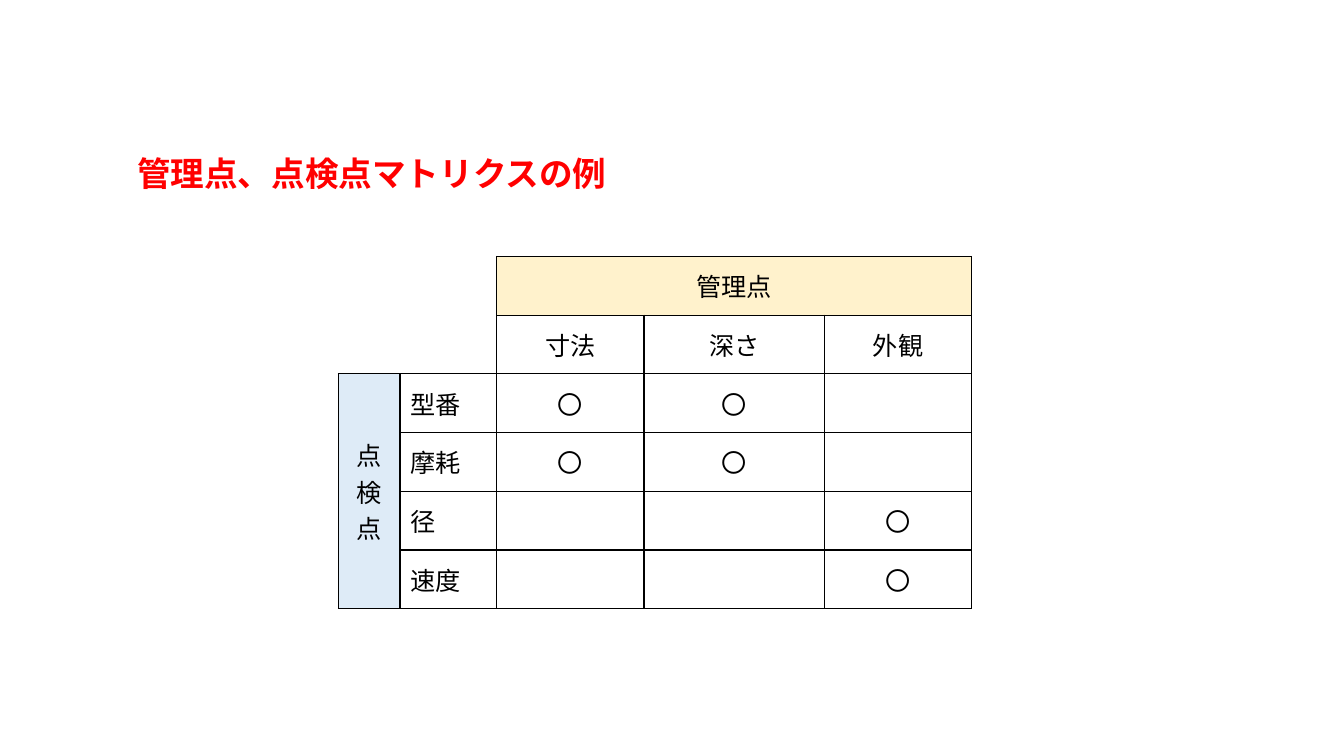
from dataclasses import dataclass

from lxml import etree
from pptx import Presentation
from pptx.dml.color import RGBColor
from pptx.enum.text import MSO_ANCHOR, MSO_AUTO_SIZE, PP_ALIGN
from pptx.oxml.ns import qn
from pptx.util import Cm, Pt

LEFT, CENTER = PP_ALIGN.LEFT, PP_ALIGN.CENTER
MIDDLE = MSO_ANCHOR.MIDDLE
GROW = MSO_AUTO_SIZE.SHAPE_TO_FIT_TEXT
TITLE_ONLY = 5

BLACK = RGBColor(0x00, 0x00, 0x00)
RED = RGBColor(0xFF, 0x00, 0x00)
CREAM = RGBColor(0xFF, 0xF2, 0xCC)
PALE_BLUE = RGBColor(0xDE, 0xEB, 0xF7)
FONT = "Noto Sans CJK JP"

COLUMN_WIDTHS = (1.55, 2.44, 3.71, 4.55, 3.71)
ROW_HEIGHT = 1.48
HEADER_ROWS, LABEL_COLUMNS = 2, 2
CONTROL_POINTS = ("寸法", "深さ", "外観")
MARK = "〇"


@dataclass(frozen=True)
class CheckPoint:
    label: str
    controls: tuple[str, ...]


@dataclass(frozen=True)
class GroupHeader:
    text: str
    first: tuple[int, int]
    last: tuple[int, int]
    color: RGBColor


CHECK_POINTS = (
    CheckPoint("型番", ("寸法", "深さ")),
    CheckPoint("摩耗", ("寸法", "深さ")),
    CheckPoint("径", ("外観",)),
    CheckPoint("速度", ("外観",)),
)
ROWS, COLUMNS = HEADER_ROWS + len(CHECK_POINTS), len(COLUMN_WIDTHS)
GROUP_HEADERS = (
    GroupHeader("管理点", (0, LABEL_COLUMNS), (0, COLUMNS - 1), CREAM),
    GroupHeader("点\n検\n点", (HEADER_ROWS, 0), (ROWS - 1, 0), PALE_BLUE),
)


def style_paragraph(paragraph, size: int, color: RGBColor, align, bold: bool = False) -> None:
    paragraph.alignment = align
    font = paragraph.font
    font.size, font.bold, font.name = Pt(size), bold, FONT
    font.color.rgb = color
    latin = paragraph._p.pPr.find(qn("a:defRPr")).find(qn("a:latin"))
    east_asian = etree.Element(qn("a:ea"), typeface=FONT)
    latin.addnext(east_asian)


def write_cell(cell, text: str, align=CENTER) -> None:
    cell.text = text
    cell.vertical_anchor = MIDDLE
    for paragraph in cell.text_frame.paragraphs:
        style_paragraph(paragraph, 18, BLACK, align)


def draw_borders(cell, sides: str) -> None:
    properties = cell._tc.get_or_add_tcPr()
    for side in "LRTB":
        line = etree.SubElement(properties, qn(f"a:ln{side}"), w=str(Pt(1)))
        if side in sides:
            fill = etree.SubElement(line, qn("a:solidFill"))
            etree.SubElement(fill, qn("a:srgbClr"), val=str(BLACK))
        else:
            etree.SubElement(line, qn("a:noFill"))


def corner_sides(row: int, column: int) -> str:
    """Only the edges facing the matrix are ruled in the blank corner."""
    right = "R" if column == LABEL_COLUMNS - 1 else ""
    bottom = "B" if row == HEADER_ROWS - 1 else ""
    return right + bottom


def add_title(slide) -> None:
    title = slide.shapes.title
    title.left, title.top, title.width, title.height = Cm(3.2), Cm(3.73), Cm(27.48), Cm(1.27)
    frame = title.text_frame
    frame.text = "管理点、点検点マトリクスの例"
    frame.word_wrap = True
    frame.auto_size = GROW
    frame.vertical_anchor = MIDDLE
    style_paragraph(frame.paragraphs[0], 24, RED, LEFT, bold=True)


def add_matrix(slide) -> None:
    matrix = slide.shapes.add_table(
        ROWS, COLUMNS, Cm(8.53), Cm(6.46), Cm(sum(COLUMN_WIDTHS)), Cm(ROWS * ROW_HEIGHT)
    ).table
    matrix.first_row = matrix.horz_banding = False
    for column, width in zip(matrix.columns, COLUMN_WIDTHS):
        column.width = Cm(width)
    for row in matrix.rows:
        row.height = Cm(ROW_HEIGHT)

    # Grid lines and plain cells
    for r in range(ROWS):
        for c in range(COLUMNS):
            in_corner = r < HEADER_ROWS and c < LABEL_COLUMNS
            cell = matrix.cell(r, c)
            draw_borders(cell, corner_sides(r, c) if in_corner else "LRTB")
            cell.fill.background()

    # Group headers
    for header in GROUP_HEADERS:
        cell = matrix.cell(*header.first)
        cell.merge(matrix.cell(*header.last))
        cell.fill.solid()
        cell.fill.fore_color.rgb = header.color
        write_cell(cell, header.text)

    # Control points across, check points down, marks where they meet
    for c, control in enumerate(CONTROL_POINTS, LABEL_COLUMNS):
        write_cell(matrix.cell(HEADER_ROWS - 1, c), control)
    for r, check in enumerate(CHECK_POINTS, HEADER_ROWS):
        write_cell(matrix.cell(r, LABEL_COLUMNS - 1), check.label, LEFT)
        for control in check.controls:
            write_cell(matrix.cell(r, LABEL_COLUMNS + CONTROL_POINTS.index(control)), MARK)


def main() -> None:
    presentation = Presentation()
    presentation.slide_width, presentation.slide_height = Cm(33.87), Cm(19.05)
    slide = presentation.slides.add_slide(presentation.slide_layouts[TITLE_ONLY])
    add_title(slide)
    add_matrix(slide)
    presentation.save("out.pptx")


if __name__ == "__main__":
    main()
